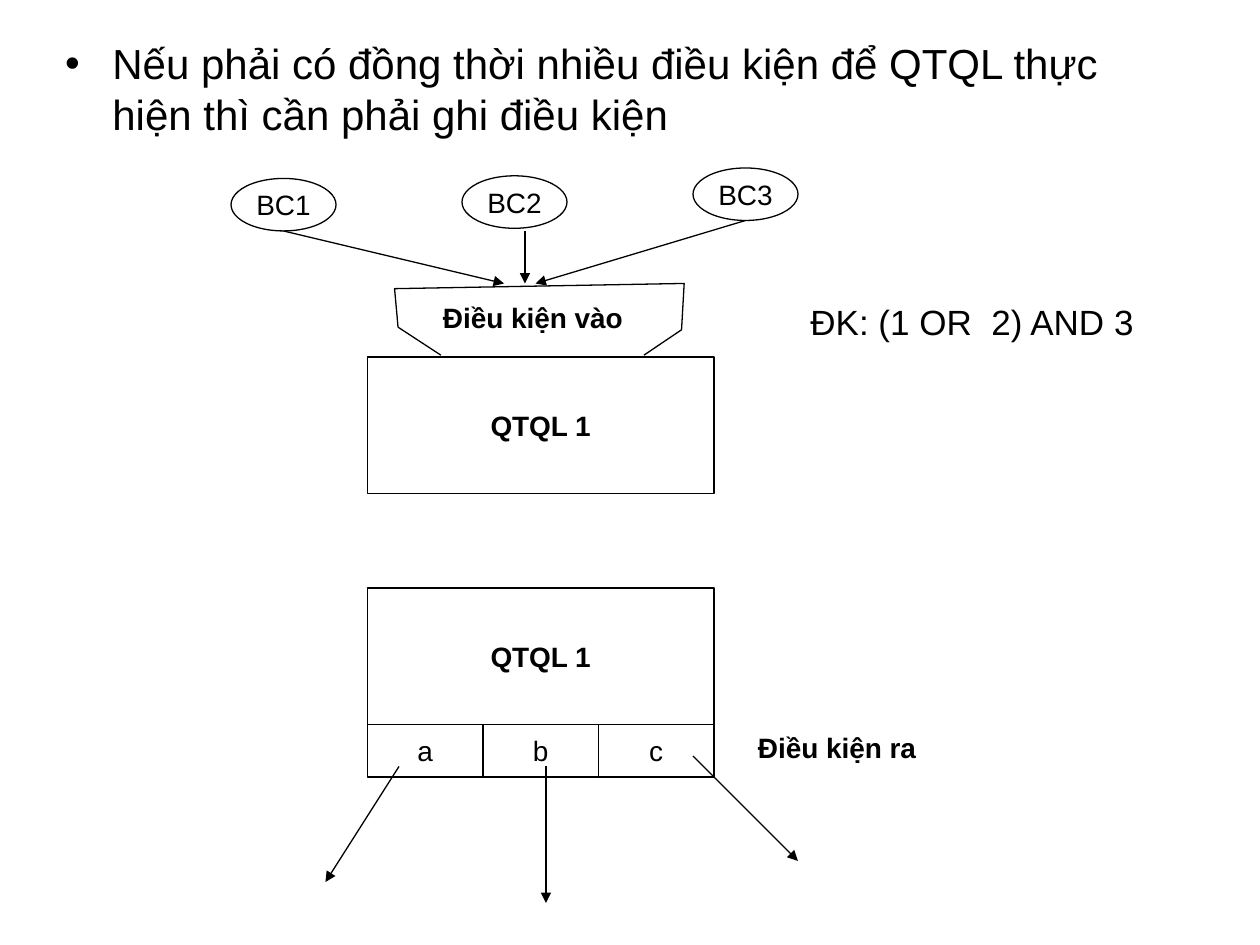
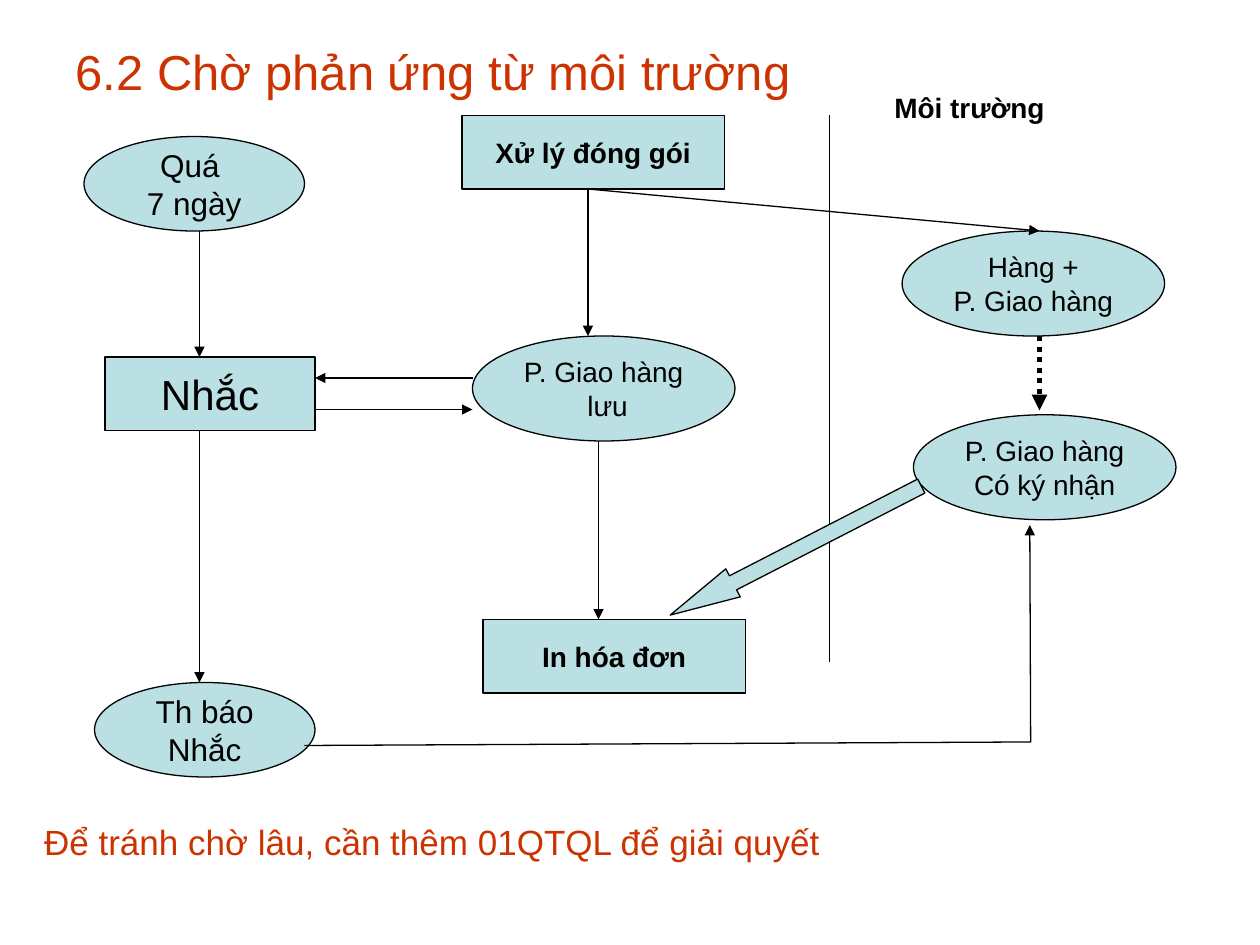
from dataclasses import dataclass

from lxml import etree
from pptx import Presentation
from pptx.dml.color import RGBColor
from pptx.enum import dml, shapes, text
from pptx.oxml.ns import qn
from pptx.util import Pt

BOX = shapes.MSO_SHAPE.RECTANGLE
OVAL = shapes.MSO_SHAPE.OVAL
ARROW = shapes.MSO_SHAPE.DOWN_ARROW


@dataclass(frozen=True)
class Theme:
    font: str = "Arial"
    ink: str = "000000"
    accent: str = "CC3300"
    fill: str = "BBE0E3"
    small: int = 16
    mid: int = 18
    note: int = 20
    lead: int = 24
    title: int = 28
    line: float = 0.75
    thick: float = 3
    indent: int = 27


class Deck:
    """Holds the theme and the slide being drawn."""

    def __init__(self, theme):
        self.theme = theme
        self.prs = Presentation()
        self.prs.slide_width, self.prs.slide_height = Pt(720), Pt(540)

    def new(self):
        self.slide = self.prs.slides.add_slide(self.prs.slide_layouts[1])
        self.head, self.body = self.slide.placeholders

    def words(self, frame, words, size, color=None, bold=False, align=None):
        """Put formatted words in a text frame."""
        frame.text = words
        for para in frame.paragraphs:
            para.alignment = align
            for run in para.runs:
                font = run.font
                font.name, font.size, font.bold = self.theme.font, Pt(size), bold
                font.color.rgb = RGBColor.from_string(color or self.theme.ink)

    def place(self, item, area):
        item.left, item.top, item.width, item.height = map(Pt, area)
        item.text_frame.auto_size = text.MSO_AUTO_SIZE.NONE

    def title(self, words, area):
        self.place(self.head, area)
        frame = self.head.text_frame
        frame.vertical_anchor = text.MSO_ANCHOR.MIDDLE
        self.words(frame, words, self.theme.title, self.theme.accent,
                   align=text.PP_ALIGN.LEFT)

    def list(self, words, area, size, color, before, pitch=1.0, mark=None):
        self.place(self.body, area)
        self.words(self.body.text_frame, words, size, color)
        for para in self.body.text_frame.paragraphs:
            para.space_before, para.line_spacing = Pt(before), pitch
            props = para._p.get_or_add_pPr()
            props.set("marL", str(Pt(self.theme.indent)))
            props.set("indent", str(-Pt(self.theme.indent)))
            if mark:
                etree.SubElement(props, qn("a:buChar")).set("char", mark)
            else:
                etree.SubElement(props, qn("a:buNone"))

    def stroke(self, item, tip=False, width=None, dash=None):
        line = item.line
        line.color.rgb = RGBColor.from_string(self.theme.ink)
        line.width = Pt(width or self.theme.line)
        if dash:
            line.dash_style = dash
        if tip:
            edge = item._element.spPr.find(qn("a:ln"))
            etree.SubElement(edge, qn("a:tailEnd")).set("type", "triangle")

    def shape(self, kind, area, words="", size=None, bold=False, fill=None):
        item = self.slide.shapes.add_shape(kind, *map(Pt, area))
        item.shadow.inherit = False
        if fill:
            item.fill.solid()
            item.fill.fore_color.rgb = RGBColor.from_string(fill)
        else:
            item.fill.background()
        self.stroke(item)
        if words:
            frame = item.text_frame
            frame.word_wrap = False
            frame.vertical_anchor = text.MSO_ANCHOR.MIDDLE
            self.words(frame, words, size or self.theme.small, bold=bold,
                       align=text.PP_ALIGN.CENTER)
        return item

    def label(self, words, area, size=None, bold=True):
        size = size or self.theme.small
        frame = self.slide.shapes.add_textbox(*map(Pt, area)).text_frame
        frame.word_wrap = True
        self.words(frame, words, size, bold=bold)
        frame.paragraphs[0].space_before = Pt(size * 0.625)

    def line(self, start, end, tip=True, width=None, dash=None):
        item = self.slide.shapes.add_connector(
            shapes.MSO_CONNECTOR.STRAIGHT, *map(Pt, start + end))
        self.stroke(item, tip, width, dash)
        etree.SubElement(item._element.spPr, qn("a:effectLst"))

    def trace(self, points, tip=False):
        """Draw an open, unfilled outline through the points."""
        first, *rest = [(Pt(x), Pt(y)) for x, y in points]
        pen = self.slide.shapes.build_freeform(*first)
        pen.add_line_segments(rest, close=False)
        item = pen.convert_to_shape()
        item.shadow.inherit = False
        item.fill.background()
        self.stroke(item, tip)


def gates(deck):
    """Conditions into and out of a process."""
    look = deck.theme
    deck.new()
    deck.head._element.getparent().remove(deck.head._element)
    deck.list("Nếu phải có đồng thời nhiều điều kiện để QTQL thực hiện "
              "thì cần phải ghi điều kiện", (30, 18, 648, 72),
              look.lead, look.ink, 6, mark="•")

    for top in (204, 336):
        deck.shape(BOX, (210, top, 198, 78), "QTQL 1", bold=True)
    deck.trace([(252, 203), (227.5, 187), (225.5, 165),
                (391, 162), (389.5, 188.5), (368, 203)])
    deck.label("Điều kiện vào", (246, 168, 126, 26.5))
    for i, top in enumerate((102, 100.5, 96)):
        deck.shape(OVAL, (132 + 132 * i, top, 60, 30), f"BC{i + 1}")
    deck.label("ĐK: (1 OR  2) AND 3", (456, 168, 222, 31.5), look.note, False)

    for i, name in enumerate("abc"):
        deck.shape(BOX, (210 + 66 * i, 414, 66, 30), name)
    deck.label("Điều kiện ra", (426, 414, 126, 26.5))

    for start, end in [
        ((300, 132), (300, 162)), ((426, 126), (306, 162)),
        ((162, 132), (288, 162)), ((228, 438), (186, 504)),
        ((312, 438), (312, 516)), ((396, 432), (456, 492)),
    ]:
        deck.line(start, end)


def wait(deck):
    """Waiting for a reply from outside."""
    look = deck.theme
    deck.new()
    deck.title("6.2 Chờ phản ứng từ môi trường", (36, 21.5, 648, 38))
    deck.list("Để tránh chờ lâu, cần thêm 01QTQL để giải quyết",
              (18, 468, 504, 30), look.note, look.accent, 5, 0.9)

    deck.line((474, 66), (474, 378), tip=False)
    deck.label("Môi trường", (504, 48, 156, 26.5))

    for words, area, size, bold in [
        ("Xử lý đóng gói", (264, 66, 150, 42), look.small, True),
        ("In hóa đơn", (276, 354, 150, 42), look.small, True),
        ("Nhắc", (60, 204, 120, 42), look.lead, False),
    ]:
        deck.shape(BOX, area, words, size, bold, look.fill)

    for words, spot in [
        ("P. Giao hàng\n lưu", (270, 192)),
        ("Hàng +\nP. Giao hàng", (515.5, 132)),
        ("P. Giao hàng\nCó ký nhận", (522, 237)),
    ]:
        deck.shape(OVAL, spot + (150, 60), words, fill=look.fill)
    for words, spot in [("Quá \n7 ngày", (48, 78)),
                        ("Th báo\nNhắc", (54, 390))]:
        deck.shape(OVAL, spot + (126, 54), words, look.mid, fill=look.fill)

    reply = deck.shape(ARROW, (445.7, 234, 18, 161.3), fill=look.fill)
    reply.rotation = 62.8
    reply.adjustments[0], reply.adjustments[1] = 0.5, 2.24

    for start, end in [
        ((336, 108), (336, 192)), ((342, 252), (342, 354)),
        ((336, 108), (594, 132)), ((270, 216), (180, 216)),
        ((180, 234), (270, 234)), ((114, 132), (114, 204)),
        ((114, 246), (114, 390)),
    ]:
        deck.line(start, end)
    deck.line((594, 192), (594, 234.5), width=look.thick,
              dash=dml.MSO_LINE.ROUND_DOT)
    deck.trace([(174, 426), (589, 424), (588.5, 300)], tip=True)


def main():
    deck = Deck(Theme())
    gates(deck)
    wait(deck)
    deck.prs.save("out.pptx")


if __name__ == "__main__":
    main()
